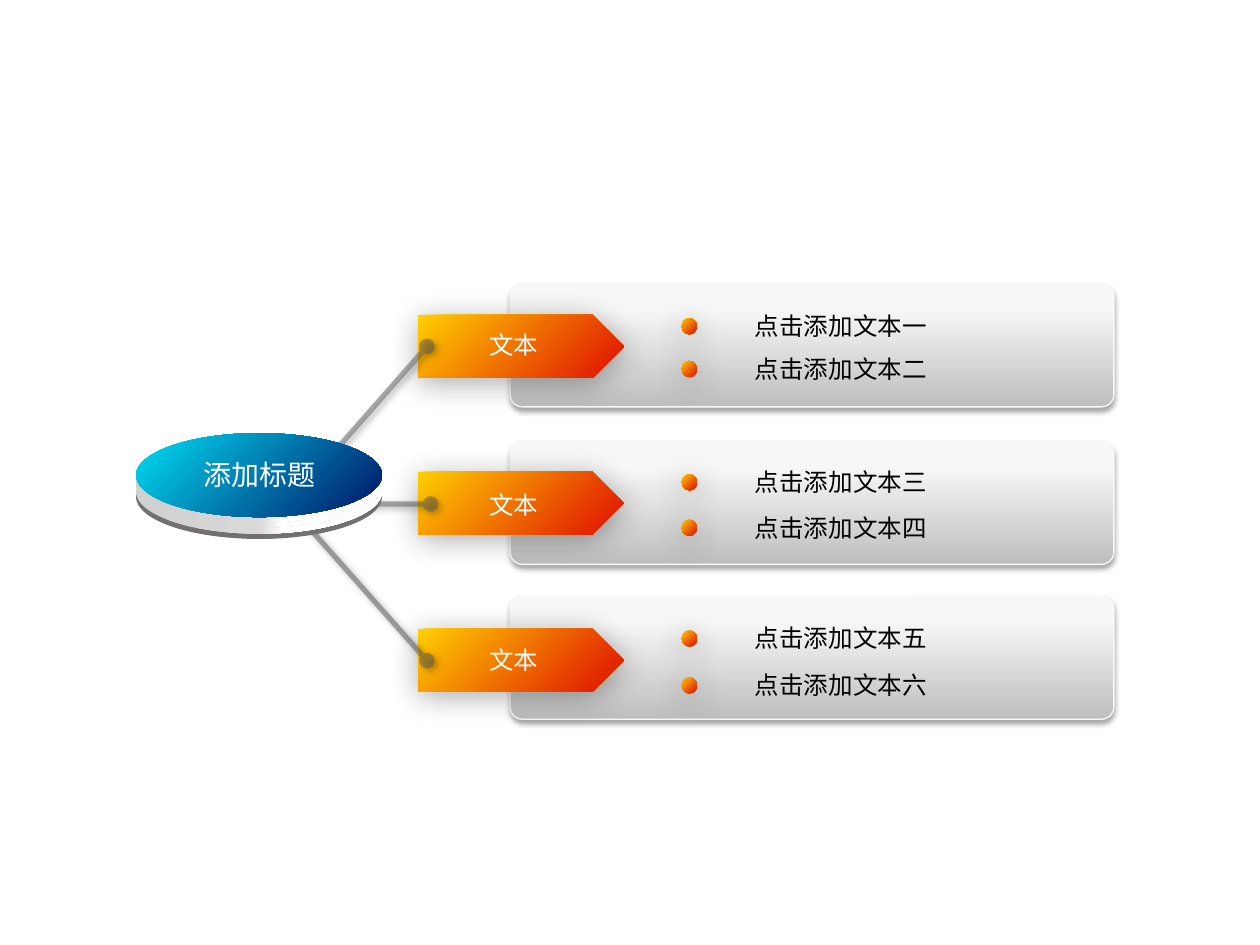
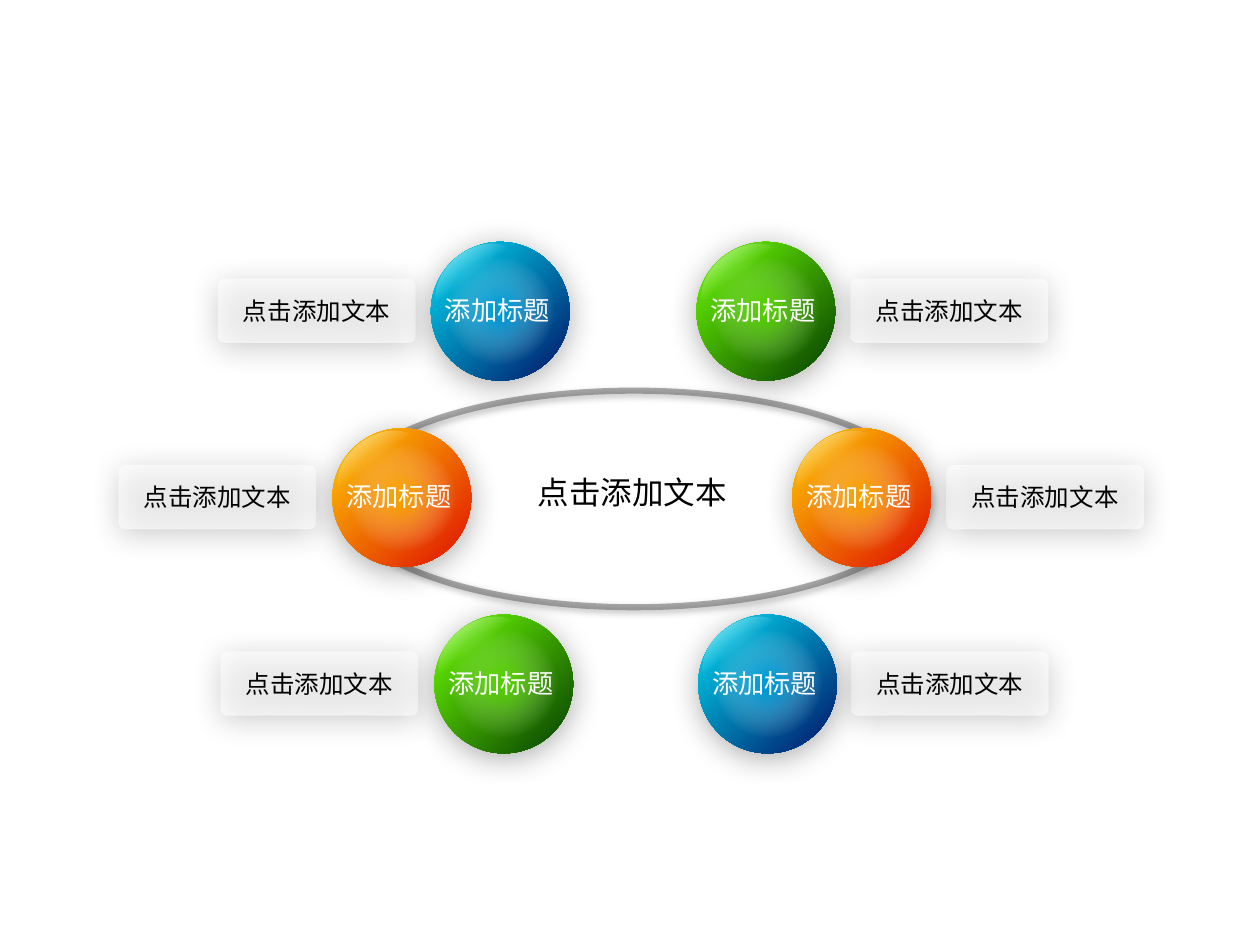
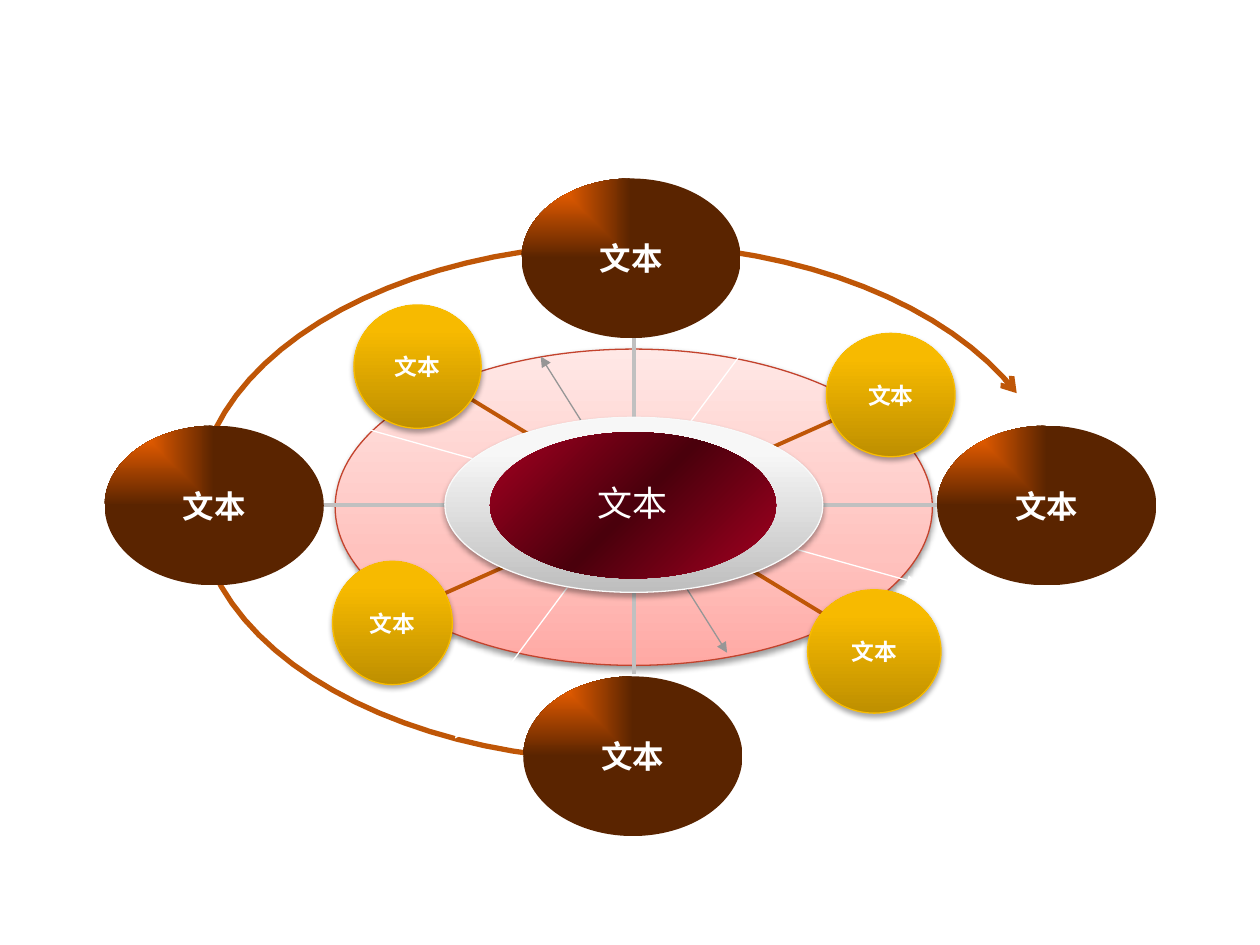
"""Build three diagram slides: a branching list, a ring of balls and an orbit."""
import math
from dataclasses import dataclass

from lxml import etree
from pptx import Presentation
from pptx import util as u
from pptx.dml import color
from pptx.enum import shapes, text
from pptx.oxml import ns, parse_xml

Pt = u.Pt
KIND = shapes.MSO_SHAPE


@dataclass(frozen=True)
class Theme:
    white: str = "FFFFFF"
    black: str = "000000"
    grey: str = "595959"
    silver: str = "C0C0C0"
    ash: str = "969696"
    rust: str = "BF5607"
    pale: str = "F9F9F9"
    amber: str = "F9BC00"
    brick: str = "C3432D"
    rim: str = "737070"
    face: str = "Noto Sans CJK SC"
    bold: str = "Arial"
    core: str = "Montserrat"
    tiny: int = 13
    body: int = 14
    ball: int = 15
    head: int = 16
    large: int = 18
    huge: int = 20
    glow: tuple = ("000000", 33, 17.8, 3, 87)
    drop: tuple = ("000000", 35, 3.1, 1.8, 90)
    cast: tuple = ("000000", 50, 4, 2, 45)
    blue: tuple = (45, (0, "00DFF6"), (90, "002774"))
    green: tuple = (45, (0, "6EFF01"), (90, "0F5000"))
    fire: tuple = (45, (0, "FFCF01"), (90, "E22000"))
    steel: tuple = (270, (0, "BEBEBE"), (80, "F7F7F7"), (100, "F8F8F8"))
    gold: tuple = (270, (0, "BE8F00"), (80, "F7BA00"), (100, "F8BB00"))
    rose: tuple = (270, (0, "FFA9A4"), (35, "FFC2BE"), (100, "FFE8E6"))
    wine: tuple = (45, (0, "A50021"), (50, "4A000C"), (100, "A50021"))
    brown: tuple = ("rect", (0, "FF6600"), (100, "5A2400"))
    side: tuple = (0, (0, "D0D0D0"), (50, "D9D9D9"), (60, "FFFFFF"), (100, "FFFFFF"))
    sheen: tuple = (90, (0, "FFFFFF"), (45, "FFFFFF", 0))


T = Theme()


def dress(item, fill=None, line=None, width=0.75, solid=100, shade=None, ends=()):
    """Set the fill, line, arrowheads and shadow of a shape or connector."""
    props = item._element.spPr
    tint = '<a:srgbClr val="{}"><a:alpha val="{}"/></a:srgbClr>'
    if hasattr(item, "fill"):
        item.fill.background()
        if fill:
            if isinstance(fill, str):
                body = f"<a:solidFill {ns.nsdecls('a')}>{tint.format(fill, solid * 1000)}</a:solidFill>"
            else:
                way, *stops = fill
                marks = "".join(
                    f'<a:gs pos="{at * 1000}">{tint.format(hue, (clear[0] if clear else 100) * 1000)}</a:gs>'
                    for at, hue, *clear in stops)
                if way == "rect":
                    turn = '<a:path path="rect"><a:fillToRect r="100000" b="100000"/></a:path>'
                elif way == "circle":
                    turn = ('<a:path path="circle"><a:fillToRect l="50000" t="50000" '
                            'r="50000" b="50000"/></a:path>')
                else:
                    turn = f'<a:lin ang="{way * 60000}" scaled="0"/>'
                body = (f'<a:gradFill {ns.nsdecls("a")} rotWithShape="1">'
                        f"<a:gsLst>{marks}</a:gsLst>{turn}</a:gradFill>")
            props.replace(props.find(ns.qn("a:noFill")), parse_xml(body))
    if line:
        item.line.width = Pt(width)
        item.line.color.rgb = color.RGBColor.from_string(line)
        edge = props.find(ns.qn("a:ln"))
        if solid < 100:
            etree.SubElement(edge.find(".//" + ns.qn("a:srgbClr")), ns.qn("a:alpha"), val=str(solid * 1000))
        for spot, tip in ends:
            etree.SubElement(edge, ns.qn(f"a:{spot}End"), type=tip)
    else:
        item.line.fill.background()
    cast = ""
    if shade:
        hue, dark, blur, far, way = shade
        cast = (f'<a:outerShdw blurRad="{Pt(blur)}" dist="{Pt(far)}" dir="{way * 60000}" '
                f'algn="ctr" rotWithShape="0">{tint.format(hue, dark * 1000)}</a:outerShdw>')
    props.append(parse_xml(f"<a:effectLst {ns.nsdecls('a')}>{cast}</a:effectLst>"))


def put(words, box, kind=None, size=T.body, hue=T.white, face=T.face, bold=False,
        wrap=True, space=None, curve=None, spin=0, **look):
    """Add a text box, or a shape of the given kind, with centred text."""
    area = [Pt(n) for n in box]
    if kind is None:
        item = page.shapes.add_textbox(*area)
    else:
        item = page.shapes.add_shape(kind, *area)
        item.rotation = spin
        if curve:
            item.adjustments[0] = curve
        dress(item, **look)
    if words:
        frame = item.text_frame
        frame.word_wrap = wrap
        frame.vertical_anchor = text.MSO_ANCHOR.TOP if kind is None else text.MSO_ANCHOR.MIDDLE
        para = frame.paragraphs[0]
        para.alignment = text.PP_ALIGN.CENTER
        para.line_spacing = space
        run = para.add_run()
        run.text = words
        run.font.size = Pt(size)
        run.font.bold = bold
        run.font.name = face
        run.font.color.rgb = color.RGBColor.from_string(hue)
        etree.SubElement(run._r.get_or_add_rPr(), ns.qn("a:ea"), typeface=T.face)


deck = Presentation()
deck.slide_width, deck.slide_height = Pt(720), Pt(540)
blank = deck.slide_layouts[6]

page = deck.slides.add_slide(blank)
rows = [
    (162, 180, 185, (("点击添加文本一", 174.25), ("点击添加文本二", 198.75))),
    (252, 269.5, 276.5, (("点击添加文本三", 263.5), ("点击添加文本四", 289.5))),
    (340.5, 359.25, 365, (("点击添加文本五", 352.75), ("点击添加文本六", 379.5))),
]
for card, tag, label, notes in rows:
    put("", (291.5, card, 345, 70.5), KIND.ROUNDED_RECTANGLE, curve=0.1,
        fill=T.steel, line=T.pale, shade=T.drop)
    put("", (239, tag, 117.5, 36), KIND.PENTAGON, fill=T.fire, shade=T.glow)
    put("文本", (244.75, label, 98, 24.5))
    for note, top in notes:
        put(note, (396, top, 169, 24.5), hue=T.black)
        put("", (389.5, top + 7.5, 8.75, 9.25), KIND.OVAL, fill=T.fire, shade=T.glow)
for left, top, right, end in [(173.5, 278, 244, 198), (175, 288, 246, 288), (173.5, 298, 244, 377.5)]:
    link = page.shapes.add_connector(shapes.MSO_CONNECTOR.STRAIGHT, Pt(left), Pt(top), Pt(right), Pt(end))
    dress(link, line=T.grey, width=3, solid=50, shade=T.cast, ends=(("head", "oval"), ("tail", "oval")))
for drop, fill in [(12.5, T.rim), (9.5, T.side), (6, T.side), (3, T.side), (0, T.blue)]:
    put("", (77.75, 247.5 + drop, 140.5, 48), KIND.OVAL, fill=fill)
put("添加标题", (79.25, 257.75, 138, 26.5), size=T.head)

page = deck.slides.add_slide(blank)
put("", (195, 223.25, 334.75, 123.75), KIND.OVAL, line=T.grey, width=3.5, solid=50, shade=T.cast)
hues = {
    "blue": (T.blue, "00B0F0", 60),
    "green": (T.green, "6EFF01", 50),
    "fire": (T.fire, "FFC000", 60),
}
balls = [
    ("blue", 246.25, 138.25, 124.5), ("green", 398, 138.25, 486),
    ("fire", 190, 244.75, 67.75), ("fire", 452.75, 244.75, 540.75),
    ("green", 248.25, 351.25, 126), ("blue", 399, 351.25, 486.25),
]
for name, left, top, side in balls:
    base, light, clear = hues[name]
    put("点击添加文本", (side, top + 21, 113, 36.75), KIND.ROUNDED_RECTANGLE, hue=T.black,
        curve=0.1, fill=T.white, solid=60, shade=T.glow)
    put("", (left, top, 79.25, 79.25), KIND.OVAL, fill=base, shade=T.glow)
    put("", (left, top + 4.5, 53.25, 36.75), KIND.OVAL, spin=323.1, fill=T.sheen)
    put("", (left + 8.75, top + 8.25, 62, 62.5), KIND.OVAL,
        fill=("circle", (10, light, clear), (70, T.white, 0)))
    put("添加标题", (left - 3, top + 26.25, 82, 25.25), size=T.ball)
put("点击添加文本", (299.5, 267, 123.75, 29), size=T.large, hue=T.black, wrap=False)

page = deck.slides.add_slide(blank)
put("", (191.5, 199.5, 341.25, 180.75), KIND.OVAL, fill=T.rose, line=T.brick,
    shade=("000000", 38, 3.1, 1.6, 90))
turns = [math.radians(97.6 + 237.4 * step / 60) for step in range(61)]
dots = [(Pt(358.5 + 245.5 * math.cos(turn)), Pt(287 + 147.5 * math.sin(turn))) for turn in turns]
path = page.shapes.build_freeform(*dots[0])
path.add_line_segments(dots[1:], close=False)
dress(path.convert_to_shape(), line=T.rust, width=3, ends=(("tail", "arrow"),))
tips = (("head", "triangle"), ("tail", "triangle"))
spokes = [
    (126, 288.75, 603.25, 288.75, T.silver, 2.25, ()),
    (362.25, 188.75, 362.25, 385.25, T.silver, 2.25, ()),
    (254.25, 339, 480.25, 238.25, T.rust, 2.25, ()),
    (267, 226.75, 470.25, 350.75, T.rust, 2.25, ()),
    (138.25, 225.25, 524.25, 333.25, T.white, 0.75, tips),
    (458.75, 154.75, 260, 422, T.white, 0.75, tips),
    (309, 203.75, 415.5, 373, T.ash, 0.75, tips),
]
for left, top, right, end, hue, width, ends in spokes:
    link = page.shapes.add_connector(shapes.MSO_CONNECTOR.STRAIGHT, Pt(left), Pt(top), Pt(right), Pt(end))
    dress(link, line=hue, width=width, ends=ends)
for left, top in [(59.75, 243.25), (535.5, 243.25), (299, 386.5), (298, 102)]:
    put("文本", (left, top, 125.25, 91.25), KIND.OVAL, size=T.large, face=T.bold, bold=True,
        wrap=False, fill=T.brown)
for left, top, wide in [(190, 320.75, 68.5), (472.25, 190.5, 73.5), (461.5, 337, 76.25), (202.25, 174.25, 72.75)]:
    put("文本", (left, top, wide, 70.5), KIND.OVAL, size=T.tiny, face=T.bold, bold=True,
        wrap=False, fill=T.gold, line=T.amber, shade=T.drop)
put("", (254.25, 238.5, 216, 100), KIND.OVAL, fill=T.steel, line=T.pale, shade=T.drop)
put("文本", (280, 247, 163.5, 83.5), KIND.OVAL, size=T.huge, face=T.core, wrap=False, space=0.9, fill=T.wine)

deck.save("out.pptx")
